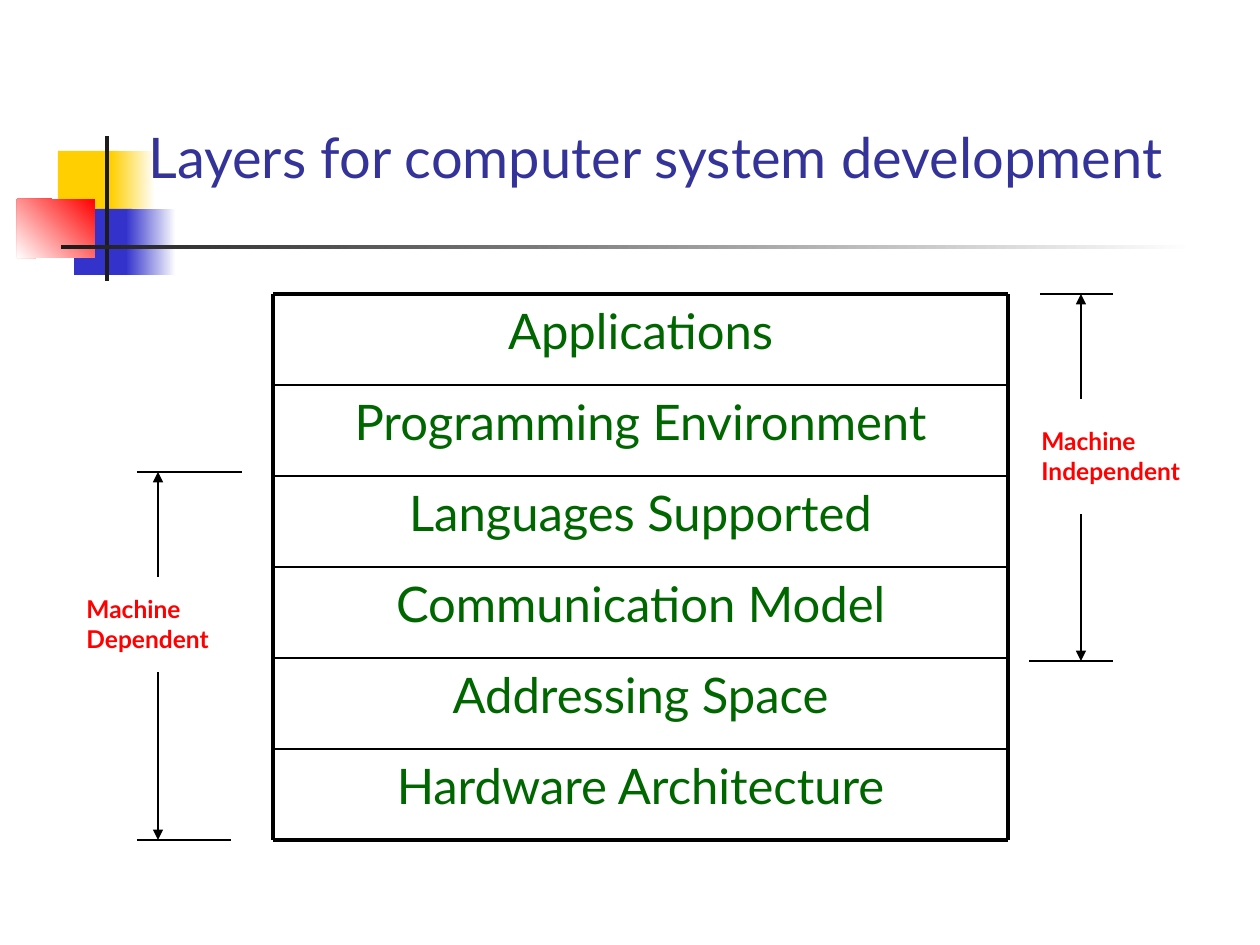
from lxml.etree import SubElement
from pptx import Presentation
from pptx.dml.color import RGBColor
from pptx.enum.shapes import MSO_CONNECTOR, MSO_SHAPE
from pptx.enum.text import MSO_ANCHOR, PP_ALIGN
from pptx.oxml.ns import qn
from pptx.util import Pt

SCALE = 914400 / 126
COLORS = {
    "white": "FFFFFF", "yellow": "FFCF01", "blue": "3333CC", "red": "FF0000",
    "charcoal": "1C1C1C", "title": "333399", "layer": "006600", "line": "000000",
}


def add_label(text, frame, size, color, bold=False, align=PP_ALIGN.LEFT, anchor=MSO_ANCHOR.TOP):
    box = slide.shapes.add_textbox(*[round(n * SCALE) for n in frame])
    box.text_frame.word_wrap = True
    box.text_frame.vertical_anchor = anchor
    para = box.text_frame.paragraphs[0]
    para.alignment = align
    span = para.add_run()
    span.text = text
    span.font.name = "Lato"
    span.font.size = Pt(size)
    span.font.bold = bold
    span.font.color.rgb = RGBColor.from_string(COLORS[color])


def add_line(x1, y1, x2, y2, width, arrow=False):
    ends = [round(n * SCALE) for n in (x1, y1, x2, y2)]
    connector = slide.shapes.add_connector(MSO_CONNECTOR.STRAIGHT, *ends)
    connector.line.width = Pt(width)
    connector.line.color.rgb = RGBColor.from_string(COLORS["line"])
    if arrow:
        SubElement(connector.line._get_or_add_ln(), qn("a:tailEnd"), type="triangle")
    SubElement(connector._element.spPr, qn("a:effectLst"))


deck = Presentation()
deck.slide_width = round(1260 * SCALE)
deck.slide_height = round(945 * SCALE)
slide = deck.slides.add_slide(deck.slide_layouts[6])

ornaments = [
    ((58, 151, 60, 66), ["yellow"], 0, None),
    ((111, 151, 44, 66), ["white", "yellow"], 180, None),
    ((74, 209, 58, 66), ["blue"], 0, None),
    ((126, 209, 50, 66), ["white", "blue"], 180, None),
    ((17, 199, 78, 59), ["red", "white"], 225, 0.004),
    ((105, 136, 4, 145), ["charcoal"], 0, None),
    ((61, 245, 1134, 4), ["white", "charcoal"], 180, 0.05),
]
for frame, colors, angle, rounding in ornaments:
    preset = MSO_SHAPE.ROUNDED_RECTANGLE if rounding else MSO_SHAPE.RECTANGLE
    shape = slide.shapes.add_shape(preset, *[round(n * SCALE) for n in frame])
    shape.shadow.inherit = False
    shape.line.fill.background()
    if rounding:
        shape.adjustments[0] = rounding
    if len(colors) == 1:
        shape.fill.solid()
        shape.fill.fore_color.rgb = RGBColor.from_string(COLORS[colors[0]])
    else:
        shape.fill.gradient()
        shape.fill.gradient_angle = angle
        for stop, color in zip(shape.fill.gradient_stops, colors):
            stop.color.rgb = RGBColor.from_string(COLORS[color])

add_label("Layers for computer system development", (136, 100, 1074, 96), 32, "title",
          anchor=MSO_ANCHOR.BOTTOM)

layers = ["Applications", "Programming Environment", "Languages Supported",
          "Communication Model", "Addressing Space", "Hardware Architecture"]
left, right, top, pitch = 273, 1008, 294, 91
bottom = top + pitch * len(layers)
for row, layer in enumerate(layers):
    add_label(layer, (left, top + row * pitch, right - left, 72), 28, "layer",
              align=PP_ALIGN.CENTER)
for row in range(len(layers) + 1):
    y = top + row * pitch
    add_line(left, y, right, y, 2.25 if y in (top, bottom) else 1)
for x in (left, right):
    add_line(x, top, x, bottom, 2.25)

add_label("Machine Independent", (1029, 420, 199, 72), 14, "red", bold=True)
add_label("Machine Dependent", (74, 588, 168, 72), 14, "red", bold=True)

for x1, x2, y in [(1040, 1113, 294), (1029, 1113, 661), (137, 242, 472), (137, 231, 840)]:
    add_line(x1, y, x2, y, 0.75)
for x, start, end in [(1081, 399, 294), (1081, 514, 661), (158, 577, 472), (158, 672, 840)]:
    add_line(x, start, x, end, 0.75, arrow=True)

deck.save("out.pptx")
